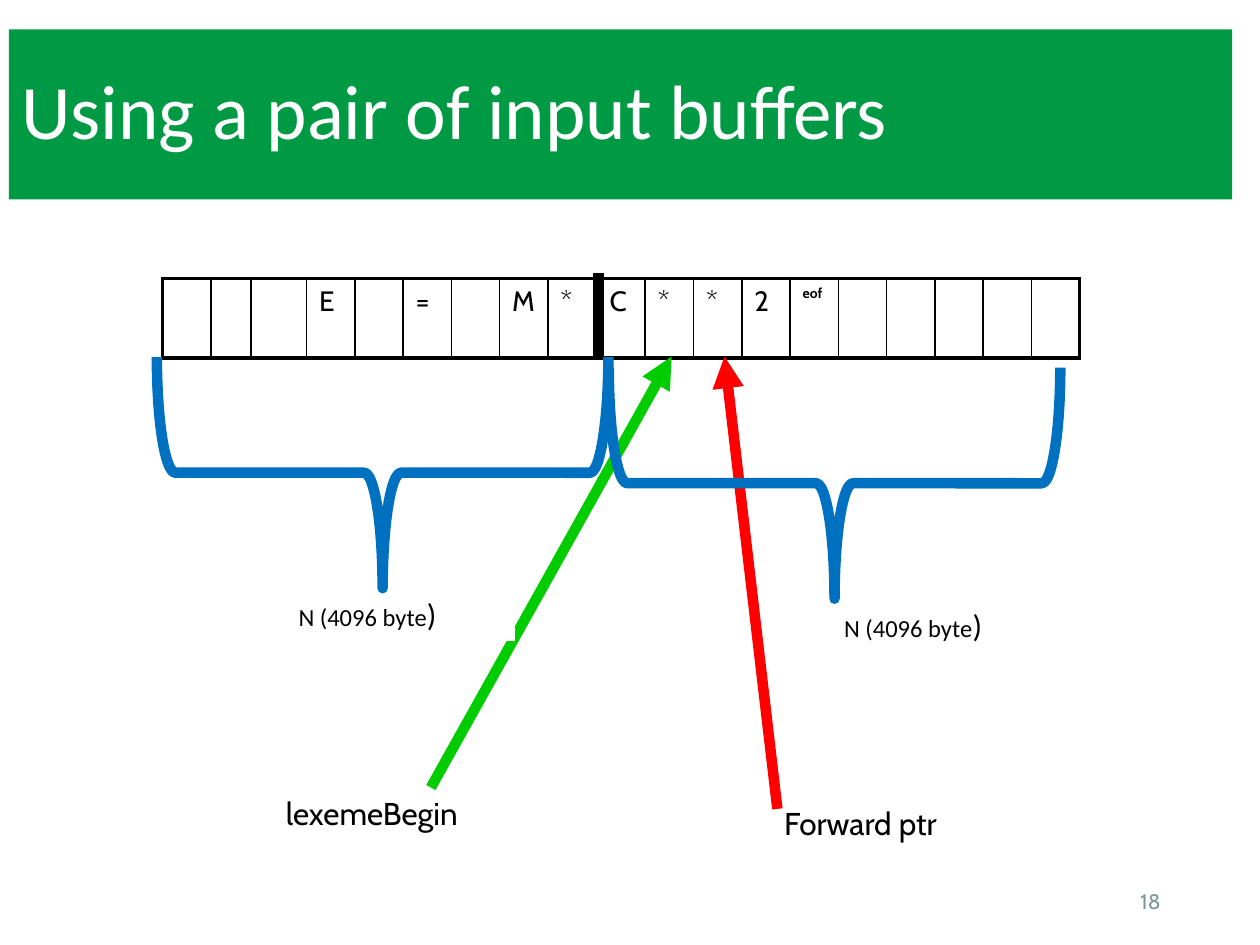
"""Build a slide that shows a lexer's pair of input buffers and its two pointers."""
from lxml.etree import SubElement
from pptx import Presentation
from pptx.dml.color import RGBColor
from pptx.enum.shapes import MSO_CONNECTOR, MSO_SHAPE
from pptx.enum.text import MSO_ANCHOR as ANCHOR, PP_ALIGN as ALIGN
from pptx.oxml.ns import qn
from pptx.util import Emu, Pt

PX = 3048
BLACK, WHITE = "000000", "FFFFFF"
rgb = RGBColor.from_string


def px(*lengths):
    return [Emu(length * PX) for length in lengths]


def write(frame, runs, font="Cabin", color=BLACK, align=ALIGN.LEFT, anchor=ANCHOR.TOP):
    frame.word_wrap = True
    frame.vertical_anchor = anchor
    paragraph = frame.paragraphs[0]
    paragraph.alignment = align
    for text, size, bold in runs:
        run = paragraph.add_run()
        run.text = text
        run.font.name = font
        run.font.size = Pt(size)
        run.font.bold = bold
        run.font.color.rgb = rgb(color)
    return paragraph


presentation = Presentation()
presentation.slide_width, presentation.slide_height = px(3000, 2250)
slide = presentation.slides.add_slide(presentation.slide_layouts[6])
shapes = slide.shapes

title = shapes.add_shape(MSO_SHAPE.RECTANGLE, *px(21, 70, 2913, 405))
title.shadow.inherit = False
title.fill.solid()
title.fill.fore_color.rgb = rgb("009A44")
title.line.fill.background()
heading = write(title.text_frame, [("Using a pair of input buffers", 44, False)],
                "Calibri", WHITE, anchor=ANCHOR.MIDDLE)
heading.line_spacing = 0.9

symbols = ["", "", "", "E", "", "=", "", "M", "*", "C", "*", "*", "2", "eof", "", "", "", "", ""]
special_widths = {1: 96, 2: 132, 8: 117}
last = len(symbols) - 1
table = shapes.add_table(1, len(symbols), *px(387, 663, 2187, 189)).table
table.first_row = table.horz_banding = False
for index, symbol in enumerate(symbols):
    table.columns[index].width = px(special_widths.get(index, 115))[0]
    cell = table.cell(0, index)
    properties = cell._tc.get_or_add_tcPr()
    left = 2.25 if index == 0 else 1
    right = 2.25 if index == last else 1
    for side, width in (("L", left), ("R", right), ("T", 2.25), ("B", 2.25)):
        border = SubElement(properties, qn(f"a:ln{side}"), w=str(Pt(width)))
        SubElement(SubElement(border, qn("a:solidFill")), qn("a:srgbClr"), val=BLACK)
    cell.fill.background()
    if symbol:
        is_eof = symbol == "eof"
        write(cell.text_frame, [(symbol, 8 if is_eof else 16, is_eof)])

for start_x, start_y, end_x, end_y, color, arrow in (
    (1026, 1875, 1599, 849, "00CC00", True),
    (1851, 1926, 1725, 849, "FF0000", True),
    (1425, 651, 1425, 849, BLACK, False),
):
    line = shapes.add_connector(MSO_CONNECTOR.STRAIGHT, *px(start_x, start_y, end_x, end_y))
    line.line.color.rgb = rgb(color)
    line.line.width = Pt(6)
    if arrow:
        SubElement(line.line._get_or_add_ln(), qn("a:tailEnd"), type="triangle")
    SubElement(line._element.spPr, qn("a:effectLst"))

for text, size, color, align, anchor, box in (
    ("18", 12, "7B9899", ALIGN.RIGHT, ANCHOR.MIDDLE, (2118, 2085, 675, 120)),
    ("lexemeBegin", 18, BLACK, ALIGN.LEFT, ANCHOR.TOP, (651, 1875, 750, 120)),
    ("Forward ptr", 18, BLACK, ALIGN.CENTER, ANCHOR.TOP, (1674, 1900, 750, 120)),
):
    textbox = shapes.add_textbox(*px(*box))
    write(textbox.text_frame, [(text, size, False)], color=color, align=align, anchor=anchor)

for label_x, label_y, brace_x, brace_y in ((525, 1400, 636, 588), (1824, 1425, 1712, 613)):
    label = shapes.add_shape(MSO_SHAPE.RECTANGLE, *px(label_x, label_y, 700, 125))
    label.shadow.inherit = False
    label.fill.solid()
    label.fill.fore_color.rgb = rgb(WHITE)
    label.line.color.rgb = rgb(WHITE)
    label.line.width = Pt(1)
    write(label.text_frame, [("N (4096 byte", 14, False), (")", 18, False)],
          "Calibri", align=ALIGN.CENTER, anchor=ANCHOR.MIDDLE)

    brace = shapes.add_shape(MSO_SHAPE.RIGHT_BRACE, *px(brace_x, brace_y, 550, 1075))
    brace.rotation = 90
    brace.adjustments[0], brace.adjustments[1] = 0.08, 0.5
    brace.shadow.inherit = False
    brace.fill.background()
    brace.line.color.rgb = rgb("0070C0")
    brace.line.width = Pt(6)

presentation.save("out.pptx")
